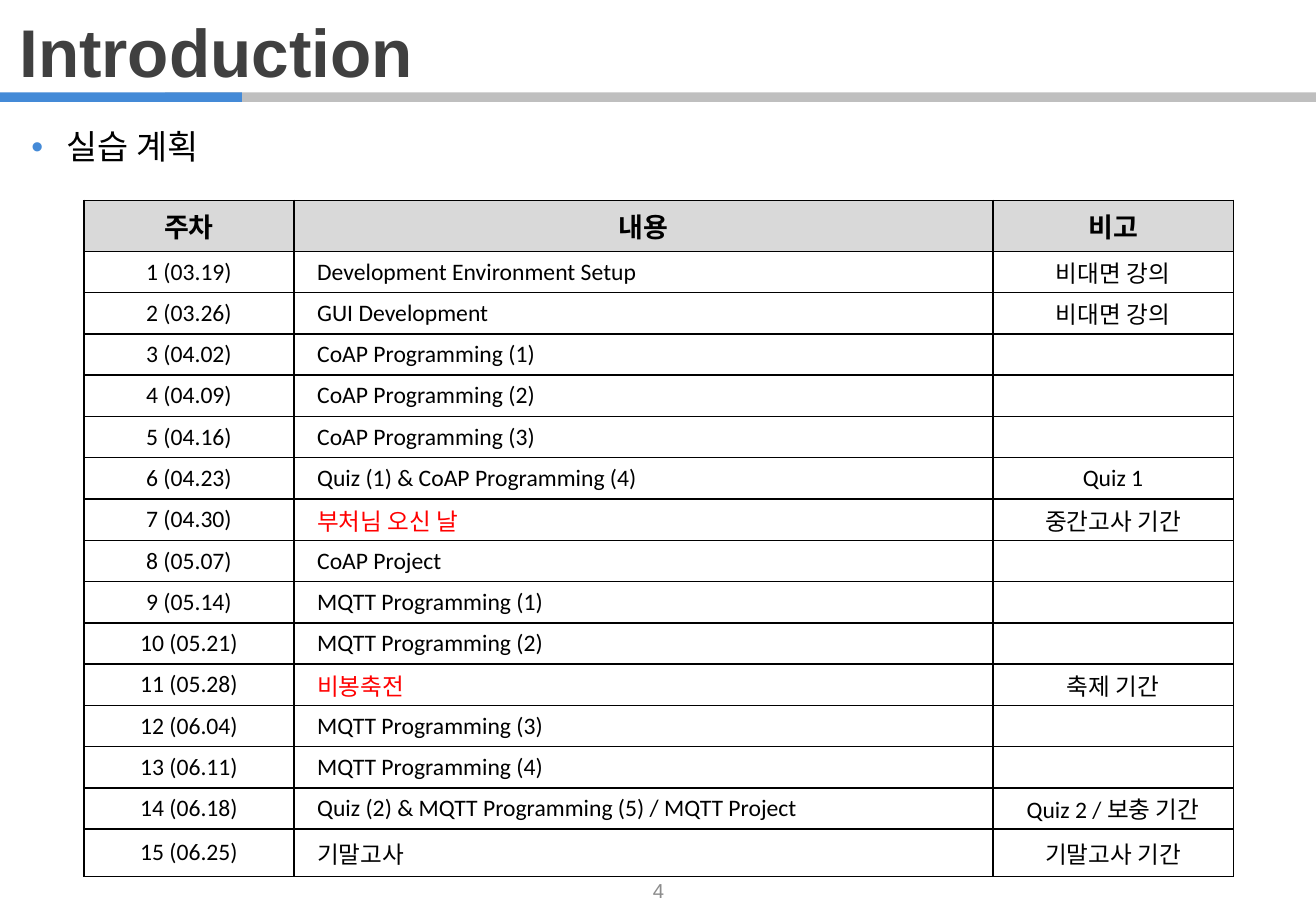
from dataclasses import dataclass

from lxml import etree
from pptx import Presentation
from pptx.dml.color import RGBColor
from pptx.enum import shapes, text
from pptx.oxml import ns
from pptx.util import Inches, Pt


@dataclass(frozen=True)
class Theme:
    ink: str = "000000"
    title: str = "404040"
    blue: str = "448AD7"
    gray: str = "BFBFBF"
    head: str = "D9D9D9"
    paper: str = "FFFFFF"
    alert: str = "FF0000"
    page: str = "8C8C8C"
    sans: str = "Arial"
    grid: str = "Calibri"
    title_size: int = 40
    lead_size: int = 20
    head_size: int = 16
    cell_size: int = 14
    page_size: int = 12


THEME = Theme()
LEFT, CENTER = text.PP_ALIGN.LEFT, text.PP_ALIGN.CENTER
MIDDLE, TOP = text.MSO_ANCHOR.MIDDLE, text.MSO_ANCHOR.TOP
COLS = (1.73, 5.75, 1.98)
HEAD = ("주차", "내용", "비고")
PLAN = (
    ("03.19", "Development Environment Setup", "비대면 강의"),
    ("03.26", "GUI Development", "비대면 강의"),
    ("04.02", "CoAP Programming (1)", ""),
    ("04.09", "CoAP Programming (2)", ""),
    ("04.16", "CoAP Programming (3)", ""),
    ("04.23", "Quiz (1) & CoAP Programming (4)", "Quiz 1"),
    ("04.30", "부처님 오신 날", "중간고사 기간"),
    ("05.07", "CoAP Project", ""),
    ("05.14", "MQTT Programming (1)", ""),
    ("05.21", "MQTT Programming (2)", ""),
    ("05.28", "비봉축전", "축제 기간"),
    ("06.04", "MQTT Programming (3)", ""),
    ("06.11", "MQTT Programming (4)", ""),
    ("06.18", "Quiz (2) & MQTT Programming (5) / MQTT Project", "Quiz 2 / 보충 기간"),
    ("06.25", "기말고사", "기말고사 기간"),
)
BREAKS = ("부처님 오신 날", "비봉축전")


def rgb(code):
    return RGBColor.from_string(code)


def style(par, size, color, font, bold=False, align=LEFT):
    par.alignment = align
    for run in par.runs:
        run.font.size = Pt(size)
        run.font.name = font
        run.font.bold = bold
        run.font.color.rgb = rgb(color)


def add_bar(slide, left, width, color):
    bar = slide.shapes.add_shape(
        shapes.MSO_SHAPE.RECTANGLE,
        Inches(left), Inches(0.76), Inches(width), Inches(0.08))
    bar.shadow.inherit = False
    bar.fill.solid()
    bar.fill.fore_color.rgb = rgb(color)
    bar.line.fill.background()


def set_title(slide, words):
    title = slide.shapes.title
    title.left, title.top = Inches(0.16), Inches(0.16)
    title.width, title.height = Inches(7.15), Inches(0.61)
    frame = title.text_frame
    frame.text = words
    frame.auto_size = text.MSO_AUTO_SIZE.NONE
    frame.vertical_anchor = TOP
    frame.margin_left = frame.margin_right = 0
    frame.margin_top = frame.margin_bottom = 0
    par = frame.paragraphs[0]
    par.line_spacing = 0.9
    par.space_before = Pt(10)
    style(par, THEME.title_size, THEME.title, THEME.sans, bold=True)


def add_text(slide, words, left, top, width, height, anchor=TOP):
    box = slide.shapes.add_textbox(
        Inches(left), Inches(top), Inches(width), Inches(height))
    frame = box.text_frame
    frame.word_wrap = True
    frame.vertical_anchor = anchor
    frame.text = words
    return frame.paragraphs[0]


def add_bullet(par):
    props = par._p.get_or_add_pPr()
    props.set("marL", str(Inches(0.29)))
    props.set("indent", str(Inches(-0.29)))
    color = etree.SubElement(props, ns.qn("a:buClr"))
    etree.SubElement(color, ns.qn("a:srgbClr"), val=THEME.blue)
    etree.SubElement(props, ns.qn("a:buFont"), typeface=THEME.sans)
    etree.SubElement(props, ns.qn("a:buChar"), char="•")


def add_edges(cell):
    props = cell._tc.get_or_add_tcPr()
    for side in ("lnL", "lnR", "lnT", "lnB"):
        line = etree.SubElement(props, ns.qn("a:" + side), w=str(Pt(1)))
        fill = etree.SubElement(line, ns.qn("a:solidFill"))
        etree.SubElement(fill, ns.qn("a:srgbClr"), val=THEME.ink)


def fill_cell(cell, words, is_head, is_topic):
    add_edges(cell)
    cell.fill.solid()
    cell.fill.fore_color.rgb = rgb(THEME.head if is_head else THEME.paper)
    cell.vertical_anchor = MIDDLE
    cell.margin_left = Inches(0.19 if is_topic else 0.01)
    cell.margin_right = cell.margin_top = cell.margin_bottom = Inches(0.01)
    cell.text_frame.text = words
    style(cell.text_frame.paragraphs[0],
          THEME.head_size if is_head else THEME.cell_size,
          THEME.alert if words in BREAKS else THEME.ink,
          THEME.grid, is_head, LEFT if is_topic else CENTER)


def add_plan(slide):
    rows = [HEAD] + [(f"{week} ({day})", topic, note)
                     for week, (day, topic, note) in enumerate(PLAN, 1)]
    heights = [0.42] + [0.34] * (len(PLAN) - 1) + [0.39]
    table = slide.shapes.add_table(
        len(rows), len(COLS), Inches(0.69), Inches(1.65),
        Inches(sum(COLS)), Inches(sum(heights))).table
    table.horz_banding = False
    for col, width in zip(table.columns, COLS):
        col.width = Inches(width)
    for i, (row, height) in enumerate(zip(rows, heights)):
        table.rows[i].height = Inches(height)
        for j, words in enumerate(row):
            fill_cell(table.cell(i, j), words, i == 0, i > 0 and j == 1)


def main():
    deck = Presentation()
    deck.slide_width, deck.slide_height = Inches(10.83), Inches(7.5)
    slide = deck.slides.add_slide(deck.slide_layouts[5])
    add_bar(slide, 1.36, 9.47, THEME.gray)
    add_bar(slide, 0, 1.99, THEME.blue)
    set_title(slide, "Introduction")
    lead = add_text(slide, "실습 계획", 0.16, 0.99, 10.54, 0.5)
    lead.space_before = Pt(10)
    style(lead, THEME.lead_size, THEME.ink, THEME.sans)
    add_bullet(lead)
    page = add_text(slide, "4", 4.2, 7.13, 2.44, 0.4, MIDDLE)
    style(page, THEME.page_size, THEME.page, THEME.sans, align=CENTER)
    add_plan(slide)
    deck.save("out.pptx")


if __name__ == "__main__":
    main()
